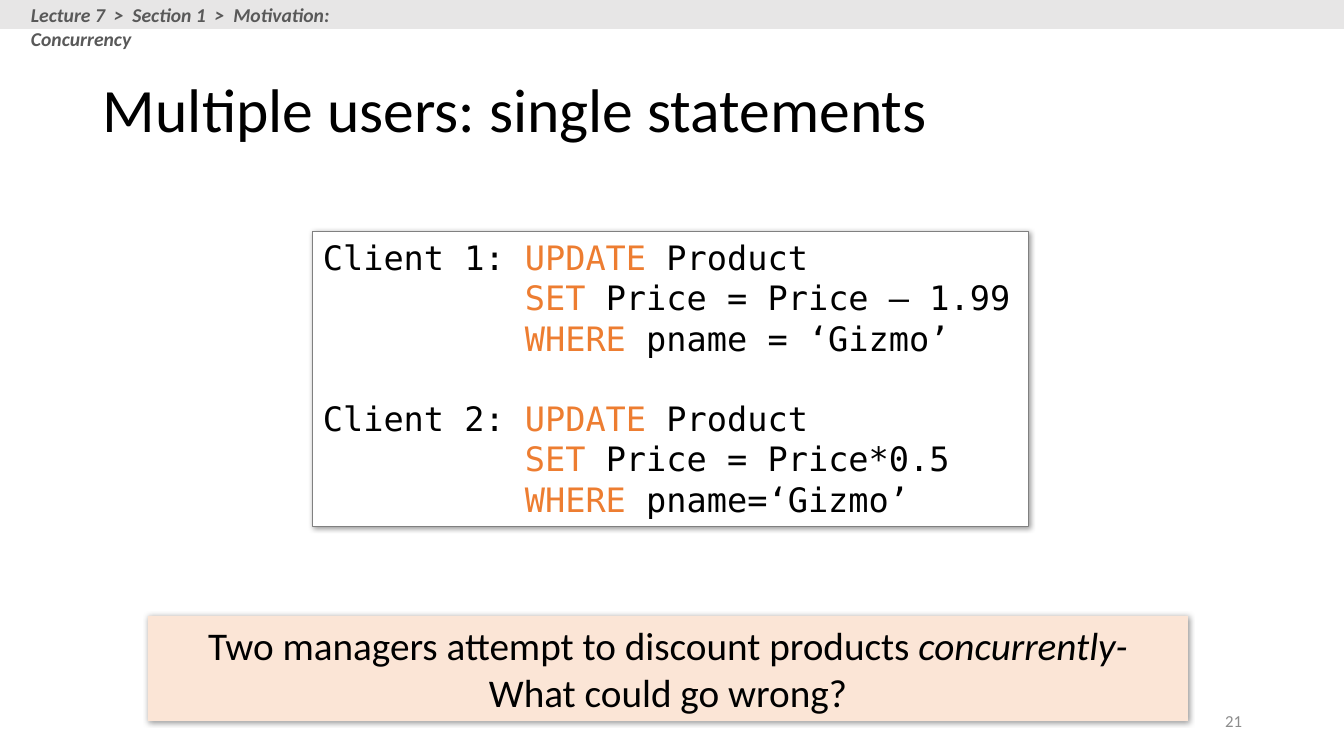
import pptx
import pptx.dml.color
import pptx.enum.shapes
import pptx.enum.text
import pptx.util
from pptx.oxml import parse_xml
from pptx.oxml.ns import nsdecls

ALIGN = pptx.enum.text.PP_ALIGN
ANCHOR = pptx.enum.text.MSO_ANCHOR
RECT = pptx.enum.shapes.MSO_SHAPE.RECTANGLE
WIDTH, HEIGHT = 1344, 756
BLACK, ORANGE = "000000", "ED7D31"
MONO = "DejaVu Sans Mono"


def px(count):
    return pptx.util.Emu(round(count * 914400 / 100.8))


def color(code):
    return pptx.dml.color.RGBColor.from_string(code)


def write(shape, paras, size=28, font="Calibri", fill=BLACK, bold=False,
          align=ALIGN.LEFT, anchor=ANCHOR.TOP, wrap=True, hang=0, gap=0, leading=None):
    """Each paragraph is a list of (text, format) runs; a newline breaks the line."""
    frame = shape.text_frame
    frame.word_wrap = wrap
    frame.vertical_anchor = anchor
    for index, runs in enumerate(paras):
        para = frame.paragraphs[0] if index == 0 else frame.add_paragraph()
        para.alignment = align
        if leading:
            para.line_spacing = leading
        if index and gap:
            para.space_before = px(gap)
        if hang:
            props = para._p.get_or_add_pPr()
            props.set("marL", str(px(hang)))
            props.set("indent", str(-px(hang)))
        for text, style in runs:
            for part, line in enumerate(text.split("\n")):
                if part:
                    para.add_line_break()
                if not line:
                    continue
                run = para.add_run()
                run.text = line
                run.font.size = pptx.util.Pt(size)
                run.font.name = font
                run.font.bold = bold
                run.font.italic = style.get("italic", False)
                run.font.color.rgb = color(style.get("fill", fill))


def label(slide, box, text, italic=False, **style):
    shape = slide.shapes.add_textbox(*map(px, box))
    write(shape, [[(text, {"italic": italic})]], **style)


def panel(slide, box, fill, line=None, shade=True):
    shape = slide.shapes.add_shape(RECT, *map(px, box))
    shape.shadow.inherit = False
    shape.fill.solid()
    shape.fill.fore_color.rgb = color(fill)
    if line:
        shape.line.color.rgb = color(line)
        shape.line.width = pptx.util.Pt(0.75)
    else:
        shape.line.fill.background()
    if shade:
        effects = shape._element.spPr.find(pptx.oxml.ns.qn("a:effectLst"))
        effects.append(parse_xml(
            f'<a:outerShdw {nsdecls("a")} blurRad="50800" dist="12700" dir="2700000" '
            'algn="tl" rotWithShape="0"><a:srgbClr val="000000">'
            '<a:alpha val="40000"/></a:srgbClr></a:outerShdw>'))
    return shape


def header(slide, box):
    left, top, width, height = box
    panel(slide, box, "E7E6E6", shade=False)
    label(slide, (left + 21, top - 2, 416, 34),
          "Lecture 7  >  Section 1  >  Motivation: Concurrency",
          size=14, fill="595959", bold=True, italic=True)


def code(slide, box):
    """Each client's statement hangs beside its name."""
    key = {"fill": ORANGE}
    clients = [
        ("Client 1:", "Price = Price – 1.99", "pname = ‘Gizmo’"),
        ("Client 2:", "Price = Price*0.5", "pname=‘Gizmo’"),
    ]
    paras = [
        [(name + "\t", {}), ("UPDATE ", key), ("Product\n", {}),
         ("SET ", key), (change + "\n", {}), ("WHERE ", key), (test, {})]
        for name, change, test in clients
    ]
    write(panel(slide, box, "FFFFFF", line="808080"), paras,
          size=24, font=MONO, wrap=False, hang=202, gap=40)


def question(slide, box):
    runs = [("Two managers attempt to discount products ", {}),
            ("concurrently-\n", {"italic": True}),
            ("What could go wrong?", {})]
    write(panel(slide, box, "FBE5D6"), [runs], align=ALIGN.CENTER, anchor=ANCHOR.MIDDLE)


def main():
    deck = pptx.Presentation()
    deck.slide_width, deck.slide_height = px(WIDTH), px(HEIGHT)
    slide = deck.slides.add_slide(deck.slide_layouts[6])
    label(slide, (950, 701, 302, 40), "21", size=12, fill="8C8C8C",
          align=ALIGN.RIGHT, anchor=ANCHOR.MIDDLE)
    label(slide, (93, 40, 1159, 146), "Multiple users: single statements",
          size=44, anchor=ANCHOR.MIDDLE, leading=0.9)
    code(slide, (313, 232, 716, 295))
    question(slide, (148, 616, 1040, 105))
    header(slide, (0, 0, WIDTH, 29))
    deck.save("out.pptx")


if __name__ == "__main__":
    main()
